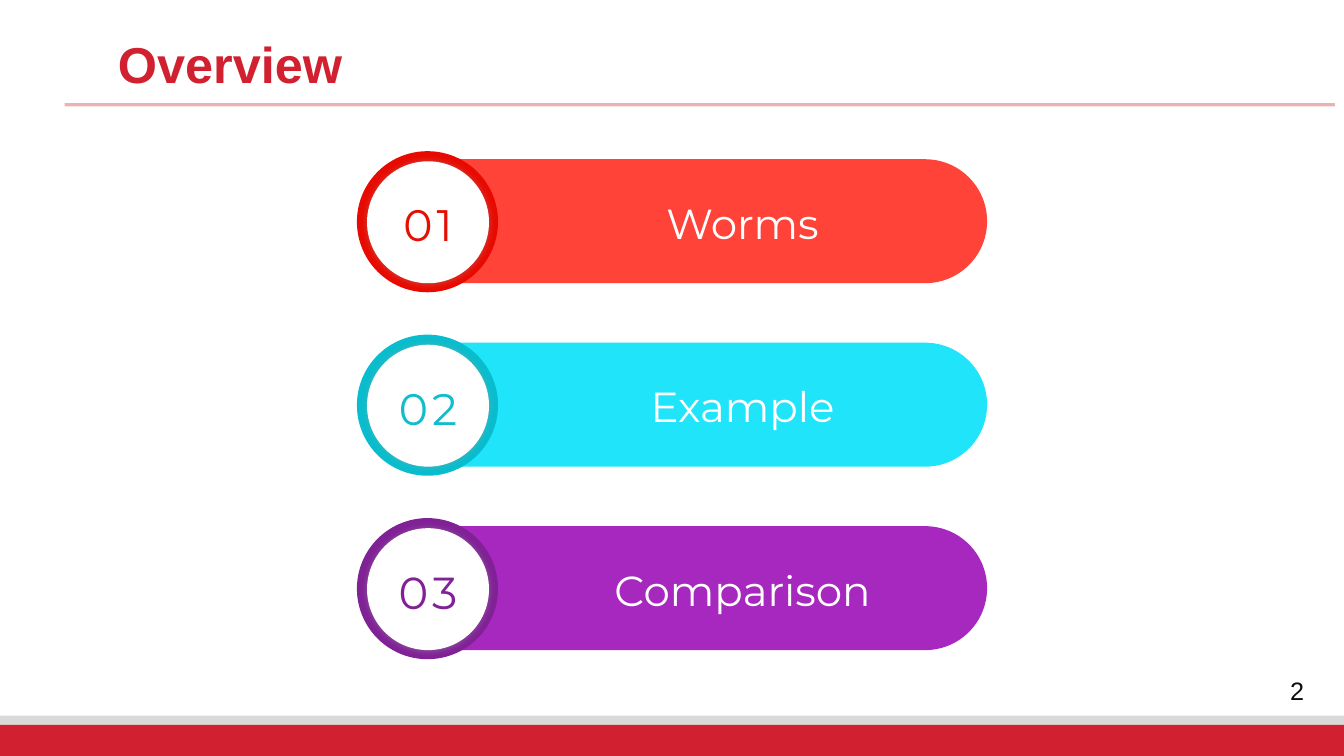
from lxml import etree
from pptx import Presentation
from pptx.dml.color import RGBColor
from pptx.enum.shapes import MSO_CONNECTOR, MSO_SHAPE
from pptx.enum.text import MSO_ANCHOR, MSO_AUTO_SIZE, PP_ALIGN
from pptx.oxml.ns import qn
from pptx.util import Inches, Pt

RECTANGLE, PILL, CIRCLE = MSO_SHAPE.RECTANGLE, MSO_SHAPE.ROUNDED_RECTANGLE, MSO_SHAPE.OVAL
STRAIGHT = MSO_CONNECTOR.STRAIGHT
TOP, MIDDLE = MSO_ANCHOR.TOP, MSO_ANCHOR.MIDDLE
LEFT, CENTER = PP_ALIGN.LEFT, PP_ALIGN.CENTER
NO_AUTOFIT = MSO_AUTO_SIZE.NONE
TITLE_ONLY = 5

COLORS = {
    "white": "FFFFFF", "ink": "0D0D0D", "grey": "D9D9D9", "crimson": "D1202F",
    "rule": "C00000", "shadow": "A6A6A6",
    "red": "FF4338", "red ring": "E80A00", "red number": "E60D03",
    "cyan": "20E4F9", "cyan ring": "08BDCD", "cyan number": "10BDCC",
    "purple": "A728BE", "purple ring": "802196", "purple number": "802196",
}

# Number, label, colour family, number size
TOPICS = [
    ("01", "Worms", "red", 31.5),
    ("02", "Example", "cyan", 31.5),
    ("03", "Comparison", "purple", 32),
]
FIRST_TOP, PITCH = 1.5, 1.82


class SlideBuilder:
    heading_font = "Arial"
    topic_font = "Montserrat"

    def __init__(self, page):
        self.page = page

    def color(self, name):
        return RGBColor.from_string(COLORS[name])

    def fill_text(self, box, text, font, size, color, bold=False, align=CENTER, anchor=MIDDLE):
        frame = box.text_frame
        frame.word_wrap = True
        frame.auto_size = NO_AUTOFIT
        frame.vertical_anchor = anchor
        para = frame.paragraphs[0]
        para.alignment = align
        para.space_before = Pt(0)
        span = para.add_run()
        span.text = text
        span.font.name = font
        span.font.size = Pt(size)
        span.font.bold = bold
        span.font.color.rgb = self.color(color)
        return para, span

    def shape(self, kind, left, top, width, height, fill, parent=None):
        shapes = (parent or self.page).shapes
        shape = shapes.add_shape(kind, Inches(left), Inches(top), Inches(width), Inches(height))
        shape.shadow.inherit = False
        shape.fill.solid()
        shape.fill.fore_color.rgb = self.color(fill)
        shape.line.fill.background()
        return shape

    def text(self, left, top, width, height, *style, parent=None):
        shapes = (parent or self.page).shapes
        box = shapes.add_textbox(Inches(left), Inches(top), Inches(width), Inches(height))
        _, span = self.fill_text(box, *style)
        return box, span

    def title(self, text):
        box = self.page.shapes.title
        box.left, box.top, box.width, box.height = (Inches(n) for n in (1.07, 0.35, 6.22, 0.48))
        para, _ = self.fill_text(box, text, self.heading_font, 36, "crimson", True, LEFT, TOP)
        para.line_spacing = 0.9

    def rule(self, left, right, top):
        line = self.page.shapes.add_connector(
            STRAIGHT, Inches(left), Inches(top), Inches(right), Inches(top))
        line.line.color.rgb = self.color("rule")
        line.line.width = Pt(2.25)
        properties = line._element.spPr
        tint = properties.find(".//" + qn("a:srgbClr"))
        etree.SubElement(tint, qn("a:alpha"), val="30000")
        etree.SubElement(properties, qn("a:effectLst"))

    def soft_shadow(self, shape):
        effects = shape._element.spPr.find(qn("a:effectLst"))
        shadow = etree.SubElement(effects, qn("a:outerShdw"), blurRad=str(Pt(5)),
                                  dist="0", dir="0", algn="ctr", rotWithShape="0")
        tint = etree.SubElement(shadow, qn("a:srgbClr"), val=COLORS["shadow"])
        etree.SubElement(tint, qn("a:alpha"), val="40000")

    def topic(self, top, number, label, family, size):
        group = self.page.shapes.add_group_shape()
        # Bar and ringed disc
        bar = self.shape(PILL, 3.9, top + 0.08, 5.89, 1.23, family, group)
        bar.adjustments[0] = 0.5
        self.shape(CIRCLE, 3.54, top, 1.4, 1.4, family + " ring", group)
        disc = self.shape(CIRCLE, 3.64, top + 0.1, 1.21, 1.21, "white", group)
        self.soft_shadow(disc)
        # Number and label
        box, span = self.text(3.64, top + 0.37, 1.21, 0.66, number, self.topic_font,
                              size, family + " number", parent=group)
        box.text_frame.margin_bottom = 0
        span.font._element.set("spc", "300")
        self.text(4.94, top + 0.11, 4.85, 1.2, label, self.topic_font, 30, "white",
                  parent=group)


def main():
    deck = Presentation()
    deck.slide_width, deck.slide_height = Inches(13.33), Inches(7.5)
    page = deck.slides.add_slide(deck.slide_layouts[TITLE_ONLY])
    builder = SlideBuilder(page)

    # Footer bands, page number and heading
    builder.shape(RECTANGLE, 0, 7.1, 13.33, 0.4, "grey")
    builder.shape(RECTANGLE, 0, 7.19, 13.33, 0.31, "crimson")
    builder.rule(0.64, 13.24, 1.04)
    builder.text(12.41, 6.65, 0.91, 0.39, "2", builder.heading_font, 18, "ink")
    builder.title("Overview")

    # Topics
    for row, topic in enumerate(TOPICS):
        builder.topic(FIRST_TOP + row * PITCH, *topic)

    deck.save("out.pptx")


if __name__ == "__main__":
    main()
